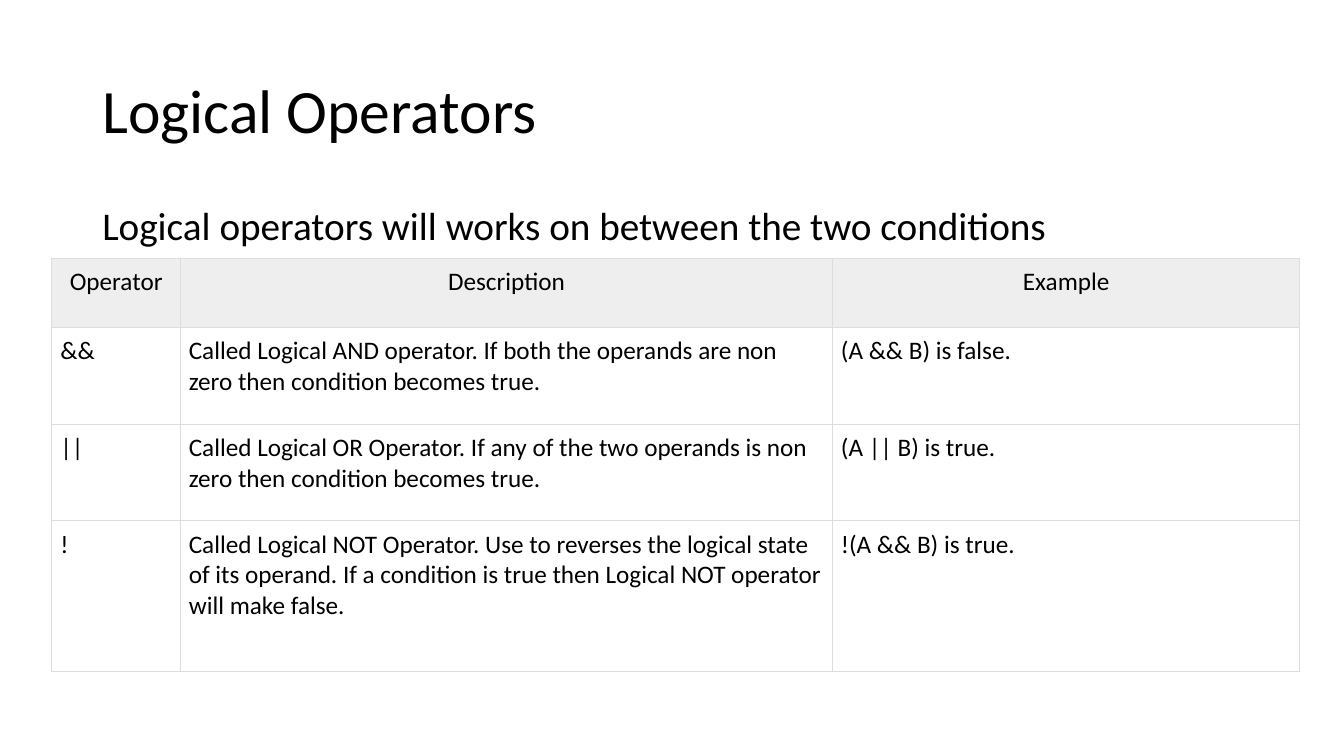
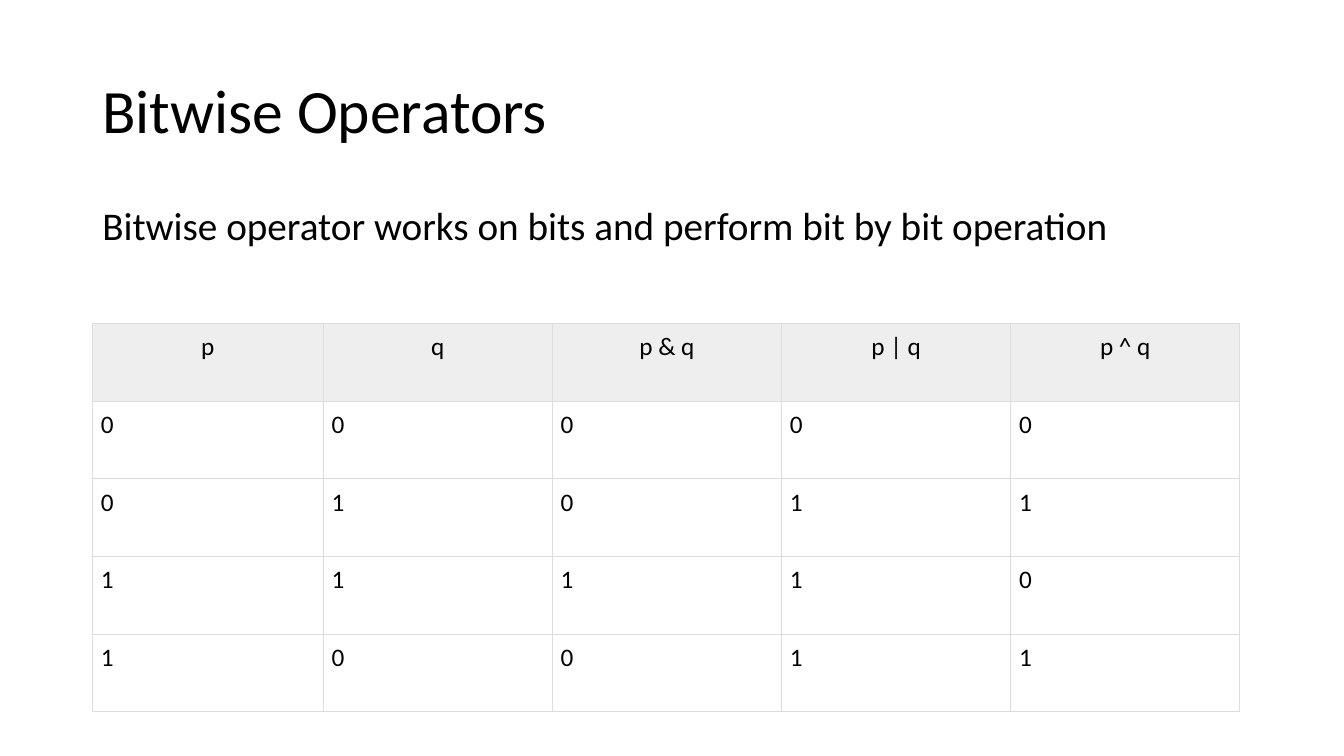
from lxml.etree import SubElement
from pptx import Presentation
from pptx.dml.color import RGBColor
from pptx.enum.text import MSO_ANCHOR, PP_ALIGN
from pptx.oxml.ns import qn
from pptx.util import Pt

HUES = {"ink": "000000", "head": "EEEEEE", "rule": "DDDDDD"}
FONT = "Calibri"

# Text formats, as attribute values
TITLE = {"font": {"size": Pt(44)}, "para": {"line_spacing": 0.9},
         "frame": {"vertical_anchor": MSO_ANCHOR.MIDDLE}}
LEAD = {"font": {"size": Pt(28)},
        "para": {"line_spacing": 0.9, "space_before": Pt(10)}, "frame": {}}
HEAD = {"font": {"size": Pt(18)}, "para": {"alignment": PP_ALIGN.CENTER}}
CELL = {"font": {"size": Pt(18)}, "para": {"alignment": PP_ALIGN.LEFT}}
PAD = {f"margin_{side}": Pt(6) for side in ("left", "right", "top", "bottom")}


def apply(item, values):
    for name, value in values.items():
        setattr(item, name, value)


class Deck:
    """Holds the style and the current slide."""

    def __init__(self):
        self.file = Presentation()
        apply(self.file, {"slide_width": Pt(960), "slide_height": Pt(540)})
        self.slide = None

    def page(self, title, lead):
        self.slide = self.file.slides.add_slide(self.file.slide_layouts[6])
        self.text(title, 28.8, 104.4, TITLE)
        self.text(lead, 144, 342.7, LEAD)

    def label(self, frame, text, style):
        para = frame.paragraphs[0]
        apply(para, style["para"])
        run = para.add_run()
        run.text = text
        apply(run.font, {"name": FONT, **style["font"]})
        run.font.color.rgb = RGBColor.from_string(HUES["ink"])

    def text(self, text, top, height, style):
        box = self.slide.shapes.add_textbox(Pt(66), Pt(top), Pt(828), Pt(height))
        frame = box.text_frame
        apply(frame, {"word_wrap": True, **style["frame"]})
        self.label(frame, text, style)

    def border(self, cell):
        props = cell._tc.get_or_add_tcPr()
        for side in "LRTB":
            line = SubElement(props, qn(f"a:ln{side}"), w=str(Pt(0.75)))
            fill = SubElement(line, qn("a:solidFill"))
            SubElement(fill, qn("a:srgbClr"), val=HUES["rule"])

    def table(self, left, top, widths, heights, data):
        grid = self.slide.shapes.add_table(
            len(heights), len(widths), Pt(left), Pt(top),
            Pt(sum(widths)), Pt(sum(heights))).table
        apply(grid, {"first_row": False, "horz_banding": False})
        for col, width in zip(grid.columns, widths):
            col.width = Pt(width)
        for row, height in zip(grid.rows, heights):
            row.height = Pt(height)
        for r, line in enumerate(data):
            for c, text in enumerate(line):
                cell = grid.cell(r, c)
                apply(cell, PAD)
                self.border(cell)
                if r == 0:
                    cell.fill.solid()
                    cell.fill.fore_color.rgb = RGBColor.from_string(HUES["head"])
                else:
                    cell.fill.background()
                self.label(cell.text_frame, text, CELL if r else HEAD)


def main():
    deck = Deck()

    # Logical operators
    deck.page("Logical Operators",
              "Logical operators will works on between the two conditions")
    deck.table(37.1, 184.5, [91.8, 465.8, 333.8], [49.4, 69, 69, 108], [
        ("Operator", "Description", "Example"),
        ("&&", "Called Logical AND operator. If both the operands are non "
               "zero then condition becomes true.", "(A && B) is false."),
        ("||", "Called Logical OR Operator. If any of the two operands is non "
               "zero then condition becomes true.", "(A || B) is true."),
        ("!", "Called Logical NOT Operator. Use to reverses the logical state "
              "of its operand. If a condition is true then Logical NOT operator "
              "will make false.", "!(A && B) is true."),
    ])

    # Bitwise operators
    deck.page("Bitwise Operators",
              "Bitwise operator works on bits and perform bit by bit operation")
    pairs = [(0, 0), (0, 1), (1, 1), (1, 0)]
    truth = [[str(n) for n in (p, q, p & q, p | q, p ^ q)] for p, q in pairs]
    deck.table(66, 231, [164.9] + [163.7] * 4, [55.5] * 5,
               [("p", "q", "p & q", "p | q", "p ^ q")] + truth)

    deck.file.save("out.pptx")


if __name__ == "__main__":
    main()
